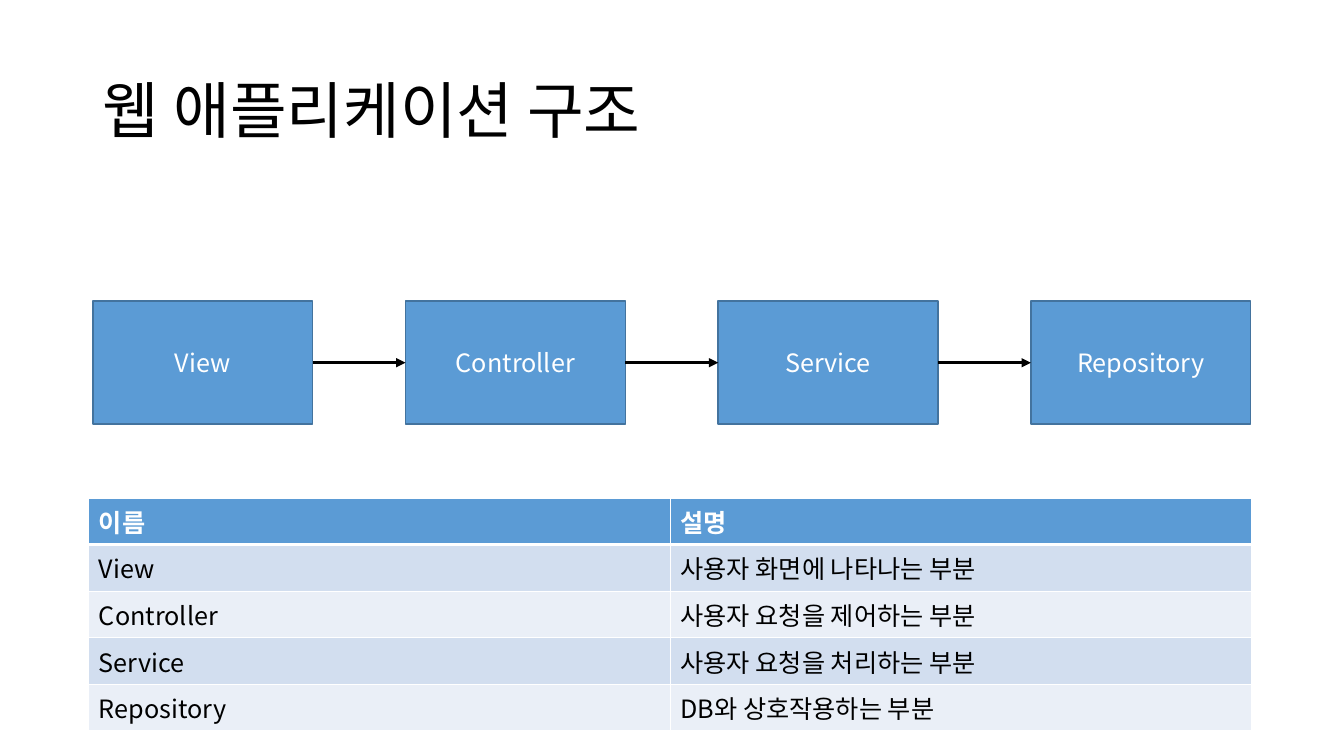
"""Build a slide showing the layers of a web application."""
import dataclasses
import itertools

import lxml.etree
import pptx
import pptx.dml.color
import pptx.enum.shapes
import pptx.enum.text
import pptx.oxml.ns
import pptx.util

Cm = pptx.util.Cm
Pt = pptx.util.Pt
qn = pptx.oxml.ns.qn
FONT = "Noto Sans CJK KR"
BLACK, WHITE, BLUE, DARK_BLUE = "000000", "FFFFFF", "5B9BD5", "43739E"
BANDS = ("D2DEEF", "EAEFF7")
MARGIN, BOX_STEP, BOX_TOP, BOX_WIDTH, BOX_HEIGHT = 2.34, 7.88, 7.59, 5.54, 3.1


@dataclasses.dataclass(frozen=True)
class Layer:
    name: str
    description: str


LAYERS = [
    Layer("View", "사용자 화면에 나타나는 부분"),
    Layer("Controller", "사용자 요청을 제어하는 부분"),
    Layer("Service", "사용자 요청을 처리하는 부분"),
    Layer("Repository", "DB와 상호작용하는 부분"),
]


def colour(value: str) -> pptx.dml.color.RGBColor:
    return pptx.dml.color.RGBColor.from_string(value)


def write(para, text: str, size: float, shade: str, bold: bool = False) -> None:
    span = para.add_run()
    span.text = text
    span.font.size = Pt(size)
    span.font.bold = bold
    span.font.color.rgb = colour(shade)
    span.font.name = FONT
    lxml.etree.SubElement(span.font._element, qn("a:ea"), typeface=FONT)


def draw_title(page, text: str) -> None:
    title = page.shapes.title
    title.left, title.top, title.width, title.height = Cm(MARGIN), Cm(1.01), Cm(29.21), Cm(3.68)
    frame = title.text_frame
    frame.auto_size = pptx.enum.text.MSO_AUTO_SIZE.NONE
    frame.vertical_anchor = pptx.enum.text.MSO_ANCHOR.MIDDLE
    para = frame.paragraphs[0]
    para.alignment = pptx.enum.text.PP_ALIGN.LEFT
    para.line_spacing = 0.9
    write(para, text, 44, BLACK)


def draw_box(page, layer: Layer, left: float):
    box = page.shapes.add_shape(pptx.enum.shapes.MSO_SHAPE.RECTANGLE,
                                Cm(left), Cm(BOX_TOP), Cm(BOX_WIDTH), Cm(BOX_HEIGHT))
    box.shadow.inherit = False
    box.fill.solid()
    box.fill.fore_color.rgb = colour(BLUE)
    box.line.color.rgb = colour(DARK_BLUE)
    box.line.width = Pt(1)
    box.text_frame.vertical_anchor = pptx.enum.text.MSO_ANCHOR.MIDDLE
    para = box.text_frame.paragraphs[0]
    para.alignment = pptx.enum.text.PP_ALIGN.CENTER
    write(para, layer.name, 18, WHITE)
    return box


def draw_arrow(page, source, target) -> None:
    arrow = page.shapes.add_connector(pptx.enum.shapes.MSO_CONNECTOR.STRAIGHT, 0, 0, 0, 0)
    arrow.begin_connect(source, 3)
    arrow.end_connect(target, 1)
    arrow.line.color.rgb = colour(BLACK)
    arrow.line.width = Pt(2.25)
    lxml.etree.SubElement(arrow.line._get_or_add_ln(), qn("a:tailEnd"), type="triangle")
    lxml.etree.SubElement(arrow._element.spPr, qn("a:effectLst"))


def draw_borders(cell, top: float, bottom: float) -> None:
    properties = cell._tc.get_or_add_tcPr()
    for side, width in (("L", 1), ("R", 1), ("T", top), ("B", bottom)):
        border = lxml.etree.SubElement(properties, qn(f"a:ln{side}"), w=str(Pt(width)))
        fill = lxml.etree.SubElement(border, qn("a:solidFill"))
        lxml.etree.SubElement(fill, qn("a:srgbClr"), val=WHITE)


def draw_table(page, layers: list[Layer]) -> None:
    rows = [Layer("이름", "설명"), *layers]
    table = page.shapes.add_table(len(rows), 2, Cm(2.24), Cm(12.55), Cm(29.31), Cm(5.15)).table
    for index, layer in enumerate(rows):
        header = index == 0
        for column, text in enumerate(dataclasses.astuple(layer)):
            cell = table.cell(index, column)
            draw_borders(cell, 3 if index == 1 else 1, 3 if header else 1)
            cell.fill.solid()
            cell.fill.fore_color.rgb = colour(BLUE if header else BANDS[(index - 1) % 2])
            write(cell.text_frame.paragraphs[0], text, 18, WHITE if header else BLACK, header)


def main() -> None:
    deck = pptx.Presentation()
    deck.slide_width, deck.slide_height = Cm(33.87), Cm(19.05)
    page = deck.slides.add_slide(deck.slide_layouts[5])
    draw_title(page, "웹 애플리케이션 구조")
    boxes = [draw_box(page, layer, MARGIN + index * BOX_STEP)
             for index, layer in enumerate(LAYERS)]
    for source, target in itertools.pairwise(boxes):
        draw_arrow(page, source, target)
    draw_table(page, LAYERS)
    deck.save("out.pptx")


if __name__ == "__main__":
    main()
